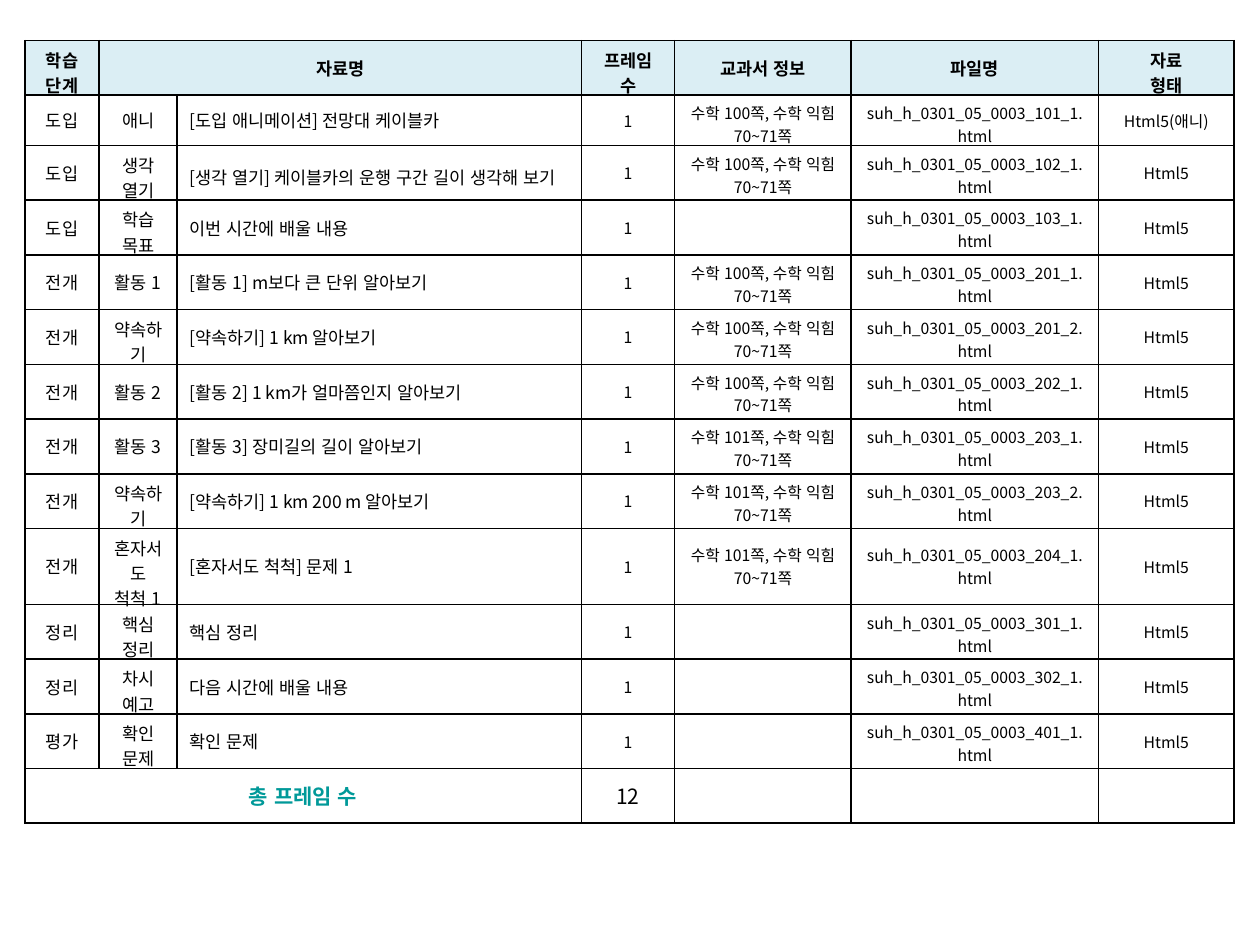
from lxml import etree
from pptx import Presentation
from pptx.dml.color import RGBColor
from pptx.enum import text
from pptx.oxml.ns import qn
from pptx.util import Cm, Pt

FONT = "Noto Sans CJK KR"
BLACK, TEAL, PALE_BLUE = "000000", "009999", "DBEEF4"
COLUMN_WIDTHS = [1.5, 1.57, 8.15, 1.88, 3.56, 4.98, 2.74]
ROW_HEIGHT = 1.1
SPECIAL_HEIGHTS = {1: 1.01, 9: 1.53}
LINE_HEIGHT_PER_POINT = 0.051
MARGIN = 0.13
TITLE_COLUMN = 2
# heading, number of lines it takes
HEADINGS = [("학습 단계", 2), ("자료명", 1), ("", 1), ("프레임 수", 2),
            ("교과서 정보", 1), ("파일명", 1), ("자료\n형태", 2)]

# stage, section, lines of the section, title, textbook page, file number
LESSON_FRAMES = [
    ("도입", "애니", 1, "[도입 애니메이션] 전망대 케이블카", 100, "101_1"),
    ("도입", "생각 열기", 2, "[생각 열기] 케이블카의 운행 구간 길이 생각해 보기", 100, "102_1"),
    ("도입", "학습 목표", 2, "이번 시간에 배울 내용", None, "103_1"),
    ("전개", "활동 1", 1, "[활동 1] m보다 큰 단위 알아보기", 100, "201_1"),
    ("전개", "약속하기", 2, "[약속하기] 1 km 알아보기", 100, "201_2"),
    ("전개", "활동 2", 1, "[활동 2] 1 km가 얼마쯤인지 알아보기", 100, "202_1"),
    ("전개", "활동 3", 1, "[활동 3] 장미길의 길이 알아보기", 101, "203_1"),
    ("전개", "약속하기", 2, "[약속하기] 1 km 200 m 알아보기", 101, "203_2"),
    ("전개", "혼자서도 척척 1", 3, "[혼자서도 척척] 문제 1", 101, "204_1"),
    ("정리", "핵심 정리", 2, "핵심 정리", None, "301_1"),
    ("정리", "차시 예고", 2, "다음 시간에 배울 내용", None, "302_1"),
    ("평가", "확인 문제", 2, "확인 문제", None, "401_1"),
]
LONG_TITLE_LENGTH = 27


def rgb(hex_color):
    return RGBColor.from_string(hex_color)


def row_height(row):
    return SPECIAL_HEIGHTS.get(row, ROW_HEIGHT)


def add_borders(cell):
    properties = cell._tc.get_or_add_tcPr()
    for position, side in enumerate(("lnL", "lnR", "lnT", "lnB")):
        line = etree.Element(qn(f"a:{side}"), w=str(Pt(1)))
        fill = etree.SubElement(line, qn("a:solidFill"))
        etree.SubElement(fill, qn("a:srgbClr"), val=BLACK)
        properties.insert(position, line)


def style_cell(cell, fill=None):
    cell.vertical_anchor = text.MSO_ANCHOR.MIDDLE
    if fill:
        cell.fill.solid()
        cell.fill.fore_color.rgb = rgb(fill)
    else:
        cell.fill.background()
    add_borders(cell)


def fit_margins(cell, row, lines, size):
    """Shrink the bottom margin so that the text does not stretch its row."""
    room = row_height(row) - MARGIN - lines * size * LINE_HEIGHT_PER_POINT
    cell.margin_top = Cm(MARGIN)
    cell.margin_bottom = Cm(round(min(MARGIN, room), 2))


def write_cell(table, row, column, content, size, color=BLACK, bold=False, lines=1):
    cell = table.cell(row, column)
    cell.text_frame.text = content
    fit_margins(cell, row, lines, size)
    left_aligned = column == TITLE_COLUMN
    for paragraph in cell.text_frame.paragraphs:
        paragraph.alignment = text.PP_ALIGN.LEFT if left_aligned else text.PP_ALIGN.CENTER
        for run in paragraph.runs:
            run.font.size = Pt(size)
            run.font.bold = bold
            run.font.color.rgb = rgb(color)
            run.font.name = FONT
            properties = run.font._element
            properties.set("lang", "ko-KR")
            properties.set("kern", "0")
            etree.SubElement(properties, qn("a:ea")).set("typeface", FONT)


def add_frame_table(slide):
    heights = [row_height(row) for row in range(len(LESSON_FRAMES) + 2)]
    table = slide.shapes.add_table(
        len(heights), len(COLUMN_WIDTHS), Cm(0.5), Cm(0.82),
        Cm(sum(COLUMN_WIDTHS)), Cm(sum(heights))).table
    table.first_row = table.horz_banding = False
    for column, width in zip(table.columns, COLUMN_WIDTHS):
        column.width = Cm(width)
    for row, height in zip(table.rows, heights):
        row.height = Cm(height)
    for index, row in enumerate(table.rows):
        for cell in row.cells:
            style_cell(cell, PALE_BLUE if index == 0 else None)
    return table


def fill_headings(table):
    table.cell(0, 1).merge(table.cell(0, 2))
    for column, (heading, lines) in enumerate(HEADINGS):
        if heading:
            write_cell(table, 0, column, heading, 10, bold=True, lines=lines)


def fill_lesson_frames(table):
    for row, frame in enumerate(LESSON_FRAMES, 1):
        stage, section, section_lines, title, page, number = frame
        textbook = f"수학 {page}쪽, 수학 익힘 70~71쪽" if page else ""
        contents = [
            (stage, 1),
            (section, section_lines),
            (title, 2 if len(title) > LONG_TITLE_LENGTH else 1),
            ("1", 1),
            (textbook, 2),
            (f"suh_h_0301_05_0003_{number}.html", 2),
            ("Html5(애니)" if section == "애니" else "Html5", 1),
        ]
        for column, (content, lines) in enumerate(contents):
            if content:
                size = 10 if column <= TITLE_COLUMN else 9
                write_cell(table, row, column, content, size, lines=lines)


def fill_total(table):
    last = len(LESSON_FRAMES) + 1
    table.cell(last, 0).merge(table.cell(last, TITLE_COLUMN))
    write_cell(table, last, 0, "총 프레임 수", 12, TEAL, bold=True)
    write_cell(table, last, 3, str(len(LESSON_FRAMES)), 12)


def main():
    presentation = Presentation()
    presentation.slide_width, presentation.slide_height = Cm(25.4), Cm(19.05)
    slide = presentation.slides.add_slide(presentation.slide_layouts[6])
    table = add_frame_table(slide)
    fill_headings(table)
    fill_lesson_frames(table)
    fill_total(table)
    presentation.save("out.pptx")


if __name__ == "__main__":
    main()
